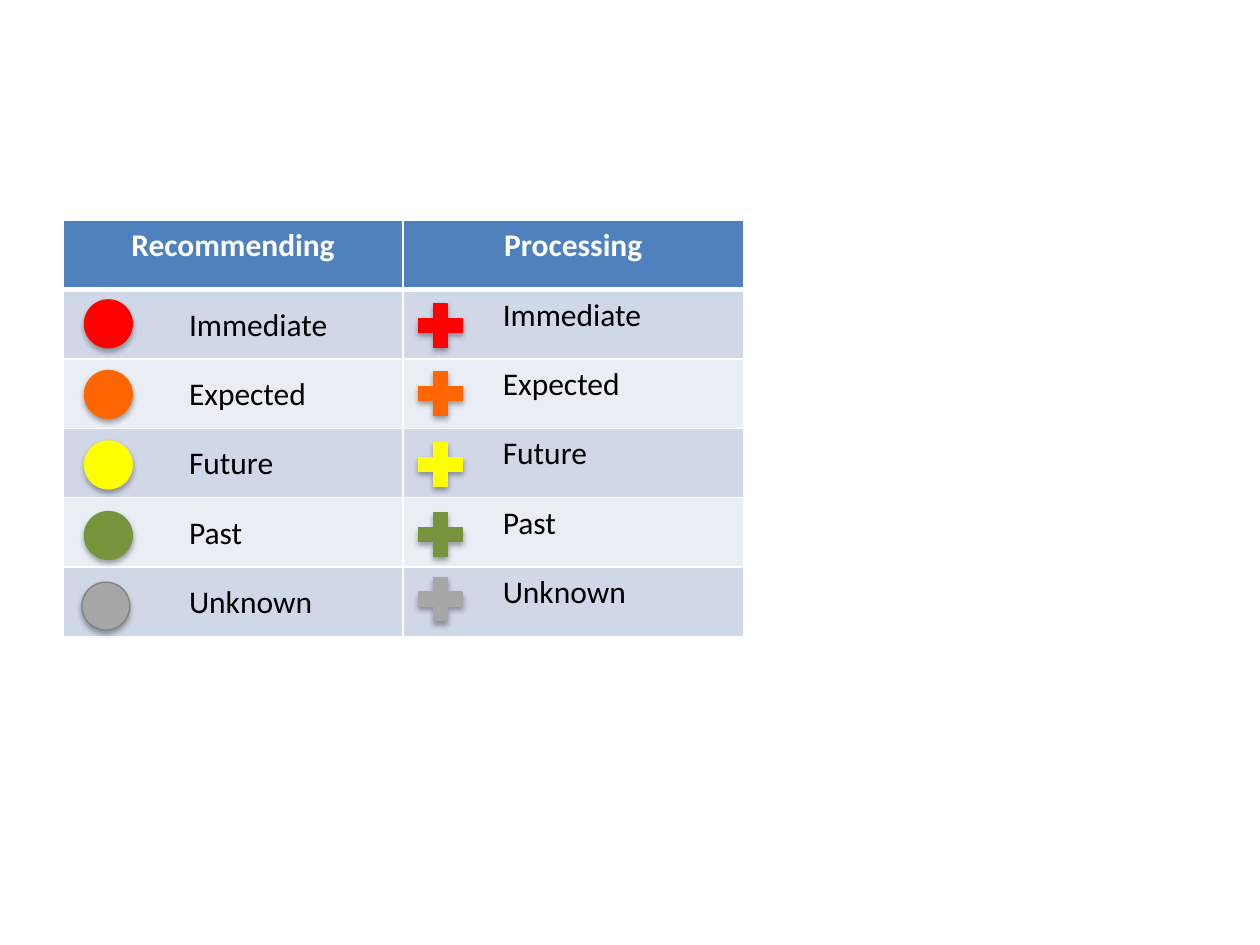
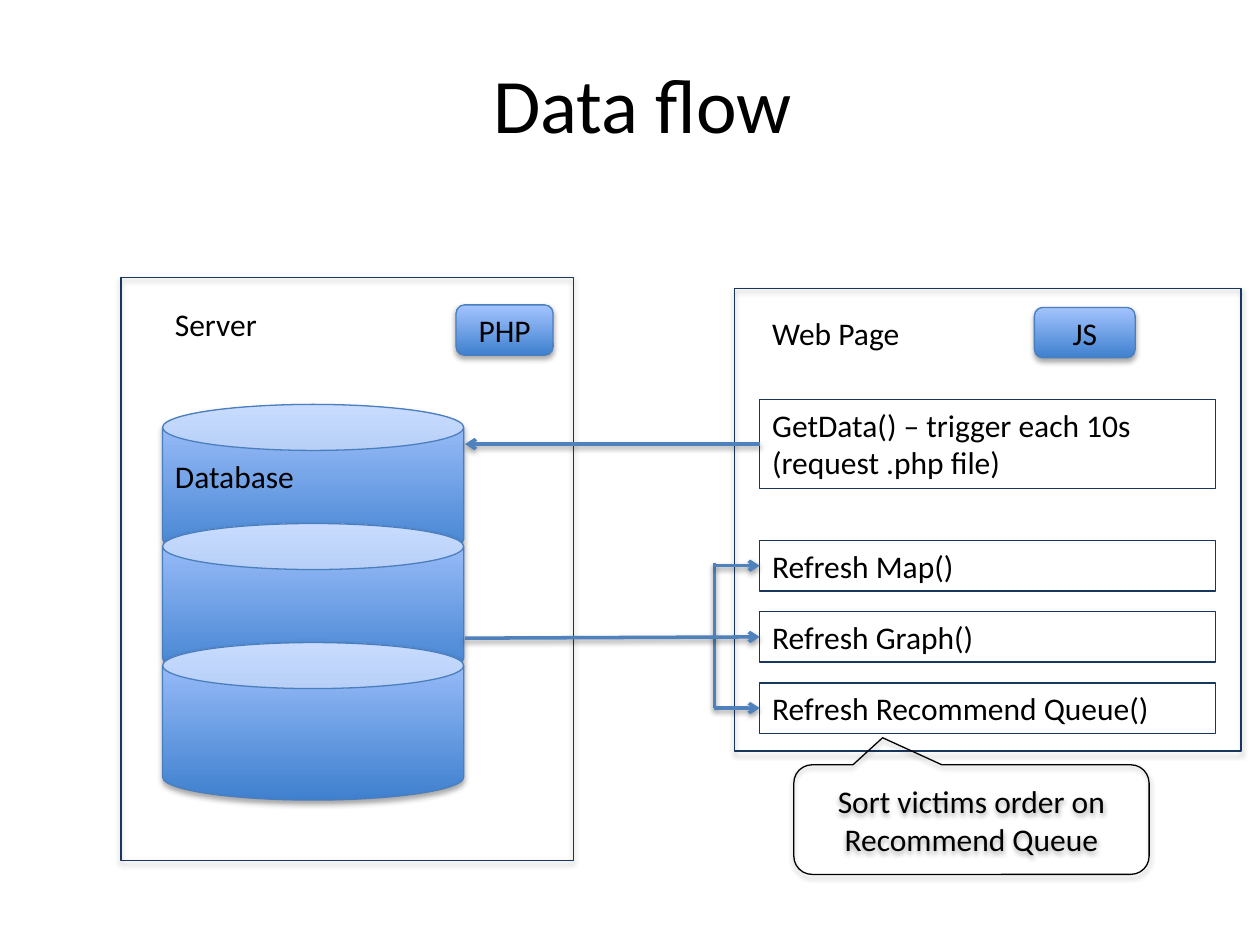
from lxml import etree
from pptx import Presentation
from pptx.dml.color import RGBColor
from pptx.enum.shapes import MSO_CONNECTOR, MSO_SHAPE
from pptx.enum.text import MSO_ANCHOR, PP_ALIGN
from pptx.oxml.ns import qn
from pptx.util import Inches, Pt

RECT, ROUND = MSO_SHAPE.RECTANGLE, MSO_SHAPE.ROUNDED_RECTANGLE
OVAL, PLUS, CAN = MSO_SHAPE.OVAL, MSO_SHAPE.MATH_PLUS, MSO_SHAPE.CAN
CALLOUT = MSO_SHAPE.ROUNDED_RECTANGULAR_CALLOUT
STRAIGHT = MSO_CONNECTOR.STRAIGHT
LEFT, CENTER = PP_ALIGN.LEFT, PP_ALIGN.CENTER
TOP, MIDDLE = MSO_ANCHOR.TOP, MSO_ANCHOR.MIDDLE

FONT, SIZE = "Calibri", 18
HEX = {
    "white": "FFFFFF", "black": "000000", "head": "4F81BD",
    "odd": "D0D8E8", "even": "E9EDF4", "navy": "17375E",
    "edge": "4B7EBC", "deep": "3F80CE", "pale": "A4C4FF",
    "red": "FF0000", "orange": "FF6600", "yellow": "FFFF00",
    "green": "77933C", "gray": "A6A6A6", "dark": "808080",
}

# Legend: label, fill, disc outline, disc left, plus top
HEADS = ("Recommending", "Processing")
STATES = [
    ("Immediate", "red", "red", 0.67, 2.35),
    ("Expected", "orange", "orange", 0.67, 2.89),
    ("Future", "yellow", "yellow", 0.67, 3.45),
    ("Past", "green", "green", 0.67, 4.01),
    ("Unknown", "gray", "dark", 0.65, 4.52),
]
GRID = {"x": 0.5, "y": 1.75, "col": 2.7, "row": 0.55}
INDENTS = (0.9, 0.69)
DISC, DISC_TOP, DISC_STEP = 0.38, 2.38, 0.56
PLUS_X, PLUS_SIZE = 3.26, 0.47

# Data flow: boxes are left, top, width, height
TITLE = ("Data flow", (0.6, 0.19, 9, 1.25))
PANELS = [(0.96, 2.2, 3.59, 4.63), (5.83, 2.29, 4.02, 3.67)]
LABELS = [
    ("Server", (1.29, 2.37, 1.9, 0.4)),
    ("Database", (1.29, 3.58, 1.44, 0.4)),
    ("Web Page", (6.03, 2.44, 1.68, 0.4)),
]
TAGS = [("JS", (8.21, 2.44, 0.8, 0.4)), ("PHP", (3.62, 2.42, 0.77, 0.4))]
DISKS = {"x": 1.29, "y": 3.21, "w": 2.39, "h": 1.25, "step": 0.945, "count": 3}
CALL_X, CALL_W = 6.03, 3.62
GET = ("GetData() – trigger each 10s (request .php file)", 3.17, 0.71)
REFRESH = ["Refresh Map()", "Refresh Graph()", "Refresh Recommend Queue()"]
REFRESH_TOP, REFRESH_STEP, REFRESH_H = 4.29, 0.565, 0.4
DISK_EDGE, FORK = 3.69, 5.67
NOTE = ("Sort victims order on Recommend Queue", (6.3, 6.07, 2.82, 0.87))


def rgb(name):
    return RGBColor.from_string(HEX[name])


def node(parent, tag, **attrs):
    return etree.SubElement(parent, qn(tag), {k: str(v) for k, v in attrs.items()})


def shade(shape, alpha=35, dist=23000):
    """Give a soft shadow that falls straight down."""
    props = shape._element.spPr
    for old in props.findall(qn("a:effectLst")):
        props.remove(old)
    cast = node(node(props, "a:effectLst"), "a:outerShdw", blurRad=40000,
                dist=dist, dir=5400000, rotWithShape=0)
    tint = node(cast, "a:srgbClr", val=HEX["black"])
    node(tint, "a:alpha", val=alpha * 1000)


def write(frame, text, align=LEFT, anchor=TOP, size=SIZE, color="black", bold=False):
    frame.word_wrap = True
    frame.vertical_anchor = anchor
    frame.text = text
    par = frame.paragraphs[0]
    par.alignment = align
    font = par.runs[0].font
    font.name, font.size, font.bold = FONT, Pt(size), bold
    font.color.rgb = rgb(color)
    return par


def label(slide, text, box, **style):
    area = slide.shapes.add_textbox(*map(Inches, box))
    write(area.text_frame, text, **style)


def draw(slide, kind, box, fill=None, line="navy", shadow=True, adjust=()):
    """Add a shape; fill is a colour name, "blend" or None."""
    shape = slide.shapes.add_shape(kind, *map(Inches, box))
    for i, value in enumerate(adjust):
        shape.adjustments[i] = value
    if fill == "blend":
        shape.fill.gradient()
        shape.fill.gradient_angle = 90
        for stop, name in zip(shape.fill.gradient_stops, ("deep", "pale")):
            stop.color.rgb = rgb(name)
    elif fill:
        shape.fill.solid()
        shape.fill.fore_color.rgb = rgb(fill)
    else:
        shape.fill.background()
    shape.line.color.rgb = rgb(line)
    shape.line.width = Pt(0.75)
    shape.shadow.inherit = False
    if shadow:
        shade(shape)
    return shape


def link(slide, start, end, arrow=True):
    line = slide.shapes.add_connector(STRAIGHT, *map(Inches, start + end))
    line.line.color.rgb = rgb("head")
    line.line.width = Pt(2)
    if arrow:
        node(line.line._get_or_add_ln(), "a:tailEnd", type="arrow")
    shade(line, 38, 20000)


def border(cell, row):
    """White cell edges, with a heavy rule below the header."""
    props = cell._tc.get_or_add_tcPr()
    widths = {"L": 1, "R": 1, "T": 3 if row == 1 else 1, "B": 3 if row == 0 else 1}
    for i, (side, width) in enumerate(widths.items()):
        edge = node(props, f"a:ln{side}", w=Pt(width))
        node(node(edge, "a:solidFill"), "a:srgbClr", val=HEX["white"])
        props.insert(i, edge)


def legend(slide):
    rows = [HEADS] + [(state[0],) * 2 for state in STATES]
    size = (GRID["col"] * 2, GRID["row"] * len(rows))
    frame = slide.shapes.add_table(
        len(rows), 2, *map(Inches, (GRID["x"], GRID["y"]) + size))
    table = frame.table
    for r, row in enumerate(rows):
        for c, text in enumerate(row):
            cell = table.cell(r, c)
            cell.fill.solid()
            cell.fill.fore_color.rgb = rgb(
                "head" if r == 0 else "odd" if r % 2 else "even")
            border(cell, r)
            if r == 0:
                write(cell.text_frame, text, CENTER, color="white", bold=True)
                continue
            par = write(cell.text_frame, text)
            props = par._p.get_or_add_pPr()
            props.set("marL", str(Inches(INDENTS[c])))
            props.set("indent", "0")
            if c == 0:
                par.line_spacing = 1.2
                cell.margin_top = Inches(0.07)
    for i, (_, fill, line, left, _) in enumerate(STATES):
        draw(slide, OVAL, (left, DISC_TOP + i * DISC_STEP, DISC, DISC), fill, line)
    for _, fill, _, _, top in STATES:
        draw(slide, PLUS, (PLUS_X, top, PLUS_SIZE, PLUS_SIZE), fill, fill)


def flow(slide):
    label(slide, *TITLE, align=CENTER, anchor=MIDDLE, size=44)
    for box in PANELS:
        draw(slide, RECT, box)
    for i in range(DISKS["count"]):
        top = DISKS["y"] + i * DISKS["step"]
        draw(slide, CAN, (DISKS["x"], top, DISKS["w"], DISKS["h"]),
             "blend", "edge", adjust=[0.292])
    for text, box in LABELS:
        label(slide, text, box)

    tops = [REFRESH_TOP + i * REFRESH_STEP for i in range(len(REFRESH))]
    calls = [GET] + [(text, top, REFRESH_H) for text, top in zip(REFRESH, tops)]
    for text, top, high in calls:
        box = draw(slide, RECT, (CALL_X, top, CALL_W, high), shadow=False)
        write(box.text_frame, text)
    for text, box in TAGS:
        tag = draw(slide, ROUND, box, "blend", "edge")
        write(tag.text_frame, text, CENTER, MIDDLE)

    request = GET[1] + GET[2] / 2
    link(slide, (CALL_X, request), (DISK_EDGE, request))
    mids = [top + REFRESH_H / 2 for top in tops]
    link(slide, (FORK, mids[0] - 0.02), (FORK, mids[-1]), arrow=False)
    for mid, start in zip(mids, (FORK, DISK_EDGE, FORK)):
        drop = 0.01 if start == DISK_EDGE else 0
        link(slide, (start, mid + drop), (CALL_X, mid))

    text, box = NOTE
    note = draw(slide, CALLOUT, box, line="black", adjust=(-0.25, -0.747, 0.167))
    write(note.text_frame, text, CENTER, MIDDLE)


def main():
    deck = Presentation()
    deck.slide_width, deck.slide_height = Inches(10), Inches(7.5)
    for build in (legend, flow):
        build(deck.slides.add_slide(deck.slide_layouts[6]))
    deck.save("out.pptx")


if __name__ == "__main__":
    main()
